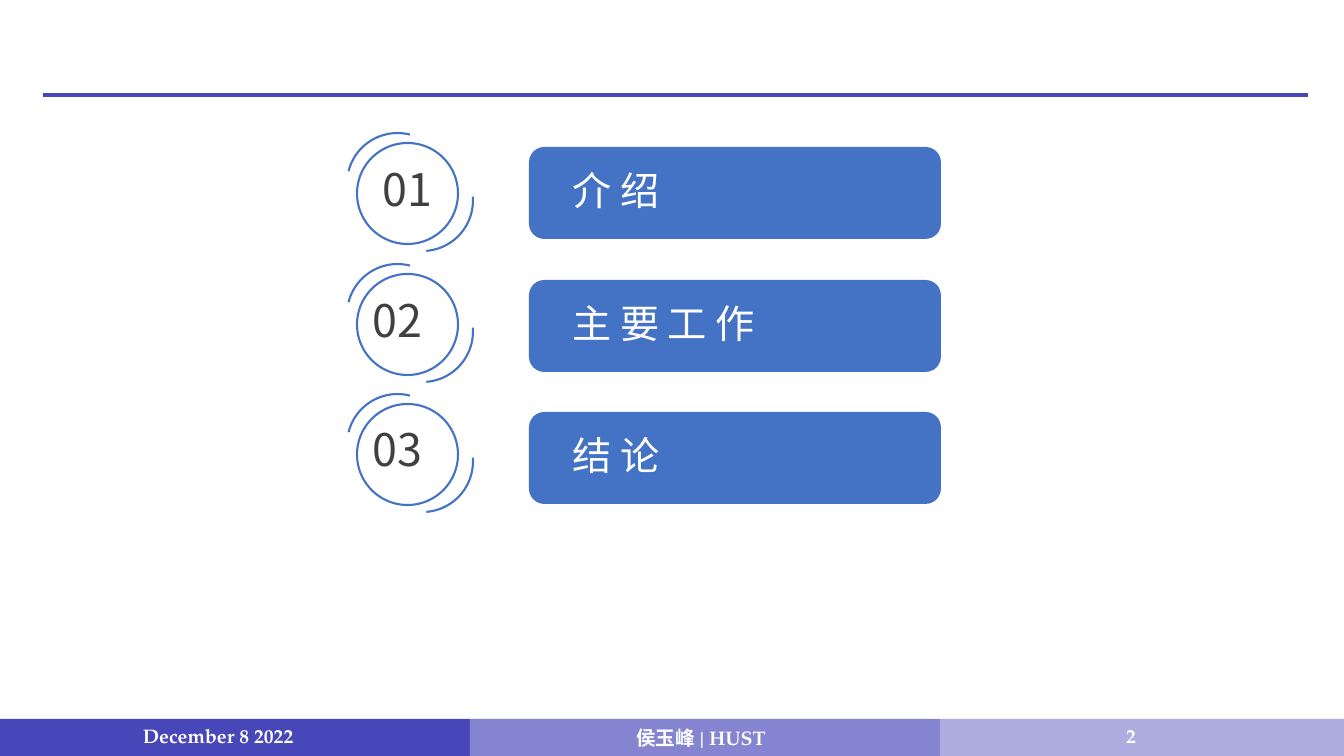
from lxml import etree
from pptx import Presentation
from pptx.dml.color import RGBColor
from pptx.enum.shapes import MSO_CONNECTOR, MSO_SHAPE
from pptx.enum.text import MSO_ANCHOR, MSO_AUTO_SIZE, PP_ALIGN
from pptx.oxml.ns import qn
from pptx.util import Emu, Pt

EMU_PER_PX = 914400 / 100.8
RECT, ROUND, OVAL, ARC = (MSO_SHAPE.RECTANGLE, MSO_SHAPE.ROUNDED_RECTANGLE,
                          MSO_SHAPE.OVAL, MSO_SHAPE.ARC)
LEFT, CENTER = PP_ALIGN.LEFT, PP_ALIGN.CENTER
TOP, MIDDLE = MSO_ANCHOR.TOP, MSO_ANCHOR.MIDDLE
FIT = MSO_AUTO_SIZE.SHAPE_TO_FIT_TEXT
STRAIGHT = MSO_CONNECTOR.STRAIGHT
SANS, SERIF = "Noto Sans CJK SC", "TeX Gyre Pagella"
INDIGO, BLUE, WHITE, GREY = "4747BA", "4472C4", "FFFFFF", "404040"

FOOTER_BANDS = [(0, 470, INDIGO), (470, 470, "8484D1"), (940, 404, "ADADE0")]
FOOTER_TEXTS = [
    ("December 8 2022", (133, 716, 204, 40), LEFT),
    ("侯玉峰 | HUST", (452, 723, 498, 30), CENTER),
    ("2", (1086, 706, 90, 60), CENTER),
]
AGENDA = [
    ("01", "介绍", 373, 157, 117, 147, 143),
    ("02", "主要工作", 363, 288, 213, 280, 274),
    ("03", "结论", 363, 417, 118, 412, 404),
]


def px(length):
    """Turn pixels into EMU."""
    return Emu(round(length * EMU_PER_PX))


def color(code):
    """Turn a hex string into a colour."""
    return RGBColor.from_string(code)


def add_shape(shapes, kind, frame, fill=None, line=None, width=0.75, turn=0):
    """Add a preset shape with its fill, outline and rotation."""
    shape = shapes.add_shape(kind, *map(px, frame))
    shape.shadow.inherit = False
    shape.rotation = turn
    if fill:
        shape.fill.solid()
        shape.fill.fore_color.rgb = color(fill)
    else:
        shape.fill.background()
    if line:
        shape.line.color.rgb = color(line)
        shape.line.width = Pt(width)
    else:
        shape.line.fill.background()
    return shape


def add_rule(shapes, left, right, top, line, width):
    """Add a horizontal line."""
    rule = shapes.add_connector(STRAIGHT, px(left), px(top), px(right), px(top))
    rule.line.color.rgb = color(line)
    rule.line.width = Pt(width)
    etree.SubElement(rule._element.spPr, qn("a:effectLst"))


def write(box, text, size, ink, font=SANS, bold=False, align=LEFT,
          anchor=TOP, wrap=False, spacing=0):
    """Write one formatted paragraph into a box."""
    frame = box.text_frame
    frame.word_wrap = wrap
    frame.vertical_anchor = anchor
    if not wrap:
        frame.auto_size = FIT
    para = frame.paragraphs[0]
    para.alignment = align
    span = para.add_run()
    span.text = text
    span.font.size = Pt(size)
    span.font.bold = bold
    span.font.color.rgb = color(ink)
    span.font.name = font
    props = span._r.get_or_add_rPr()
    etree.SubElement(props, qn("a:ea")).set("typeface", SANS)
    if spacing:
        props.set("spc", str(spacing * 100))


def add_agenda_item(page, number, title, number_left, number_top,
                    title_width, bar_top, ring_top):
    """Add a ringed number and its titled bar as one group."""
    shapes = page.shapes.add_group_shape().shapes
    box = add_shape(shapes, RECT, (number_left, number_top, 77, 65), line=WHITE)
    write(box, number, 32, GREY)
    add_shape(shapes, ROUND, (529, bar_top, 412, 92), fill=BLUE)
    box = add_shape(shapes, RECT, (563, bar_top + 14, title_width, 57), line=BLUE)
    write(box, title, 28, WHITE, spacing=6)
    for kind, left, drop, turn in [(OVAL, 357, 0, 0), (ARC, 347, -10, 284.2),
                                   (ARC, 372, 7, 85.6)]:
        add_shape(shapes, kind, (left, ring_top + drop, 101, 101),
                  line=BLUE, width=1.5, turn=turn)


def add_footer(page):
    """Add the three footer bands and their texts."""
    for left, width, fill in FOOTER_BANDS:
        add_shape(page.shapes, RECT, (left, 719, width, 37), fill=fill)
    for text, frame, align in FOOTER_TEXTS:
        box = page.shapes.add_textbox(*map(px, frame))
        write(box, text, 14, WHITE, font=SERIF, bold=True, align=align,
              anchor=MIDDLE, wrap=True)


def main():
    """Build the agenda slide and save it."""
    deck = Presentation()
    deck.slide_width, deck.slide_height = px(1344), px(756)
    page = deck.slides.add_slide(deck.slide_layouts[6])
    add_rule(page.shapes, 43, 1308, 95, INDIGO, 3)
    add_footer(page)
    for item in AGENDA:
        add_agenda_item(page, *item)
    deck.save("out.pptx")


if __name__ == "__main__":
    main()
